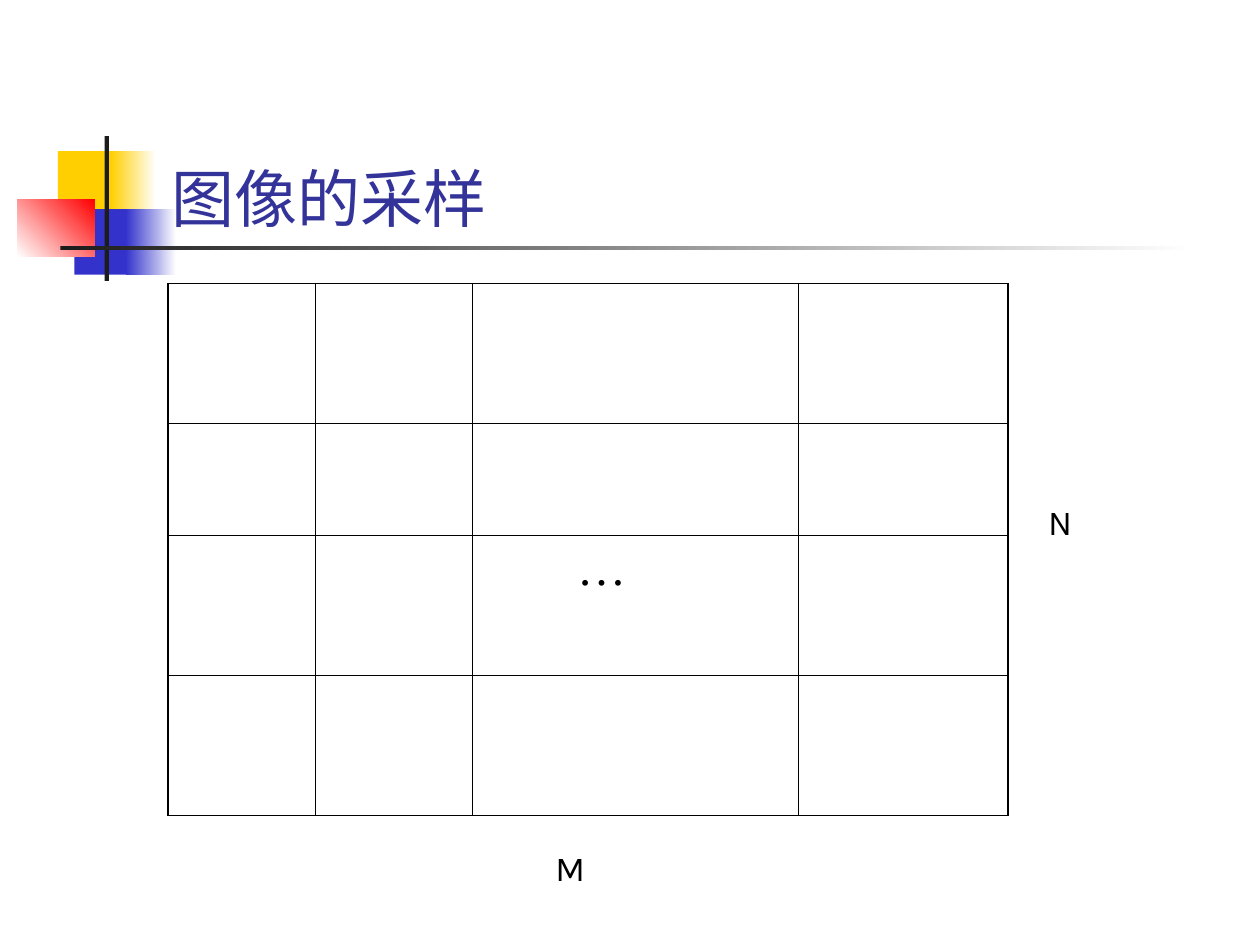
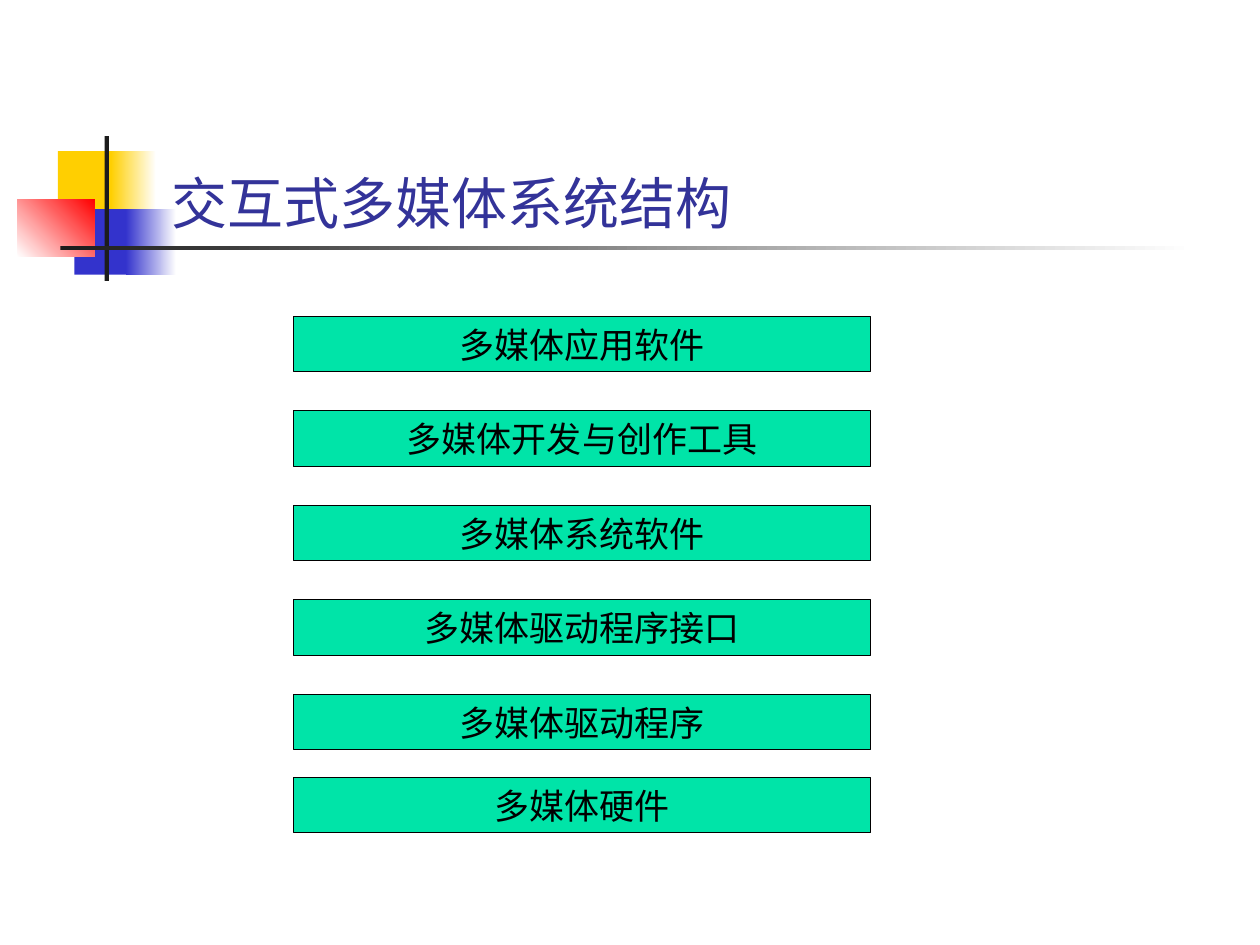
from lxml.etree import SubElement
from pptx import Presentation
from pptx.dml.color import RGBColor
from pptx.enum.shapes import MSO_SHAPE
from pptx.enum.text import MSO_ANCHOR, MSO_AUTO_SIZE, PP_ALIGN
from pptx.oxml.ns import qn
from pptx.util import Inches, Pt

COLORS = {
    "yellow": "FFCF01", "blue": "3333CC", "red": "FF0000", "dark": "1C1C1C",
    "white": "FFFFFF", "title": "333399", "black": "000000", "layer": "00E4A8",
}
LATIN_FONT, CJK_FONT, DOTS_FONT = "Karla", "Noto Sans CJK SC", "Times New Roman"

presentation = Presentation()
presentation.slide_width = Inches(10)
presentation.slide_height = Inches(7.5)


def area(left, top, width, height):
    """Turn percentages of the slide's size into lengths."""
    across = presentation.slide_width / 100
    down = presentation.slide_height / 100
    return [round(length) for length in
            (left * across, top * down, width * across, height * down)]


def write(text_frame, text, size, color="black", latin=LATIN_FONT,
          east_asian=CJK_FONT, alignment=PP_ALIGN.LEFT):
    paragraph = text_frame.paragraphs[0]
    paragraph.alignment = alignment
    run = paragraph.add_run()
    run.text = text
    font_format = {"size": Pt(size), "name": latin}
    for attribute, value in font_format.items():
        setattr(run.font, attribute, value)
    run.font.color.rgb = RGBColor.from_string(COLORS[color])
    SubElement(run.font._element, qn("a:ea"), typeface=east_asian)


# Slides and their titles
title_layout = presentation.slide_layouts.get_by_name("Title Only")
titles = [
    ("图像的采样", 36, (12.6, 8.93, 43.7, 16.67)),
    ("交互式多媒体系统结构", 32, (12.6, 14.4, 78.2, 11.2)),
]
title_format = {"vertical_anchor": MSO_ANCHOR.BOTTOM, "word_wrap": True,
                "auto_size": MSO_AUTO_SIZE.NONE}
for text, size, place in titles:
    slide = presentation.slides.add_slide(title_layout)
    title = slide.shapes.title
    title.left, title.top, title.width, title.height = area(*place)
    for attribute, value in title_format.items():
        setattr(title.text_frame, attribute, value)
    write(title.text_frame, text, size, "title")
sampling_slide, structure_slide = presentation.slides

# Shared decoration, moved to the layout: place, start colour, end colour, angle
decoration = [
    ((4.6, 16, 4.8, 6.93), "yellow", None, 0),
    ((8.8, 16, 3.6, 6.93), "yellow", "white", 0),
    ((5.9, 22.13, 4.6, 6.93), "blue", None, 0),
    ((10, 22.13, 4, 6.93), "blue", "white", 0),
    ((1.4, 21.07, 6.1, 6.13), "white", "red", 45),
    ((8.3, 14.4, 0.35, 15.33), "dark", None, 0),
    ((4.8, 26, 90, 0.45), "dark", "white", 0),
]
for number, (place, start, end, angle) in enumerate(decoration, 20):
    shape = sampling_slide.shapes.add_shape(MSO_SHAPE.RECTANGLE, *area(*place))
    shape.shadow.inherit = False
    shape.line.fill.background()
    if end:
        shape.fill.gradient()
        shape.fill.gradient_angle = angle
        for stop, color in zip(shape.fill.gradient_stops, (start, end)):
            stop.color.rgb = RGBColor.from_string(COLORS[color])
    else:
        shape.fill.solid()
        shape.fill.fore_color.rgb = RGBColor.from_string(COLORS[start])
    shape._element.nvSpPr.cNvPr.set("id", str(number))
    title_layout.shapes._spTree.append(shape._element)

# Sampling grid
column_units, row_units = (14, 15, 31, 20), (5, 4, 5, 5)
column_count, row_count = len(column_units), len(row_units)
grid_frame = sampling_slide.shapes.add_table(
    row_count, column_count, *area(13.33, 30, 66.67, 56.3))
grid = grid_frame.table
grid.first_row = grid.horz_banding = False
grid_width, grid_height = grid_frame.width, grid_frame.height
for column, units in zip(grid.columns, column_units):
    column.width = round(grid_width * units / sum(column_units))
for row, units in zip(grid.rows, row_units):
    row.height = round(grid_height * units / sum(row_units))

for row_index in range(row_count):
    for column_index in range(column_count):
        cell = grid.cell(row_index, column_index)
        outer_edges = {
            "L": column_index == 0, "R": column_index == column_count - 1,
            "T": row_index == 0, "B": row_index == row_count - 1,
        }
        for side, is_outer in outer_edges.items():
            border = SubElement(cell._tc.get_or_add_tcPr(), qn(f"a:ln{side}"),
                                w=str(Pt(1.08 if is_outer else 0.45)))
            border_fill = SubElement(border, qn("a:solidFill"))
            SubElement(border_fill, qn("a:srgbClr"), val=COLORS["black"])
        cell.fill.background()

dots_cell = grid.cell(2, 2)
dots_cell.margin_left = Inches(0.83)
write(dots_cell.text_frame, "…", 28, latin=DOTS_FONT, east_asian=DOTS_FONT)

for text, place in [("N", (82.2, 52.27, 4.1, 5.87)),
                    ("M", (43.1, 88.93, 4.5, 5.87))]:
    label = sampling_slide.shapes.add_textbox(*area(*place))
    label.text_frame.word_wrap = False
    write(label.text_frame, text, 20)

# Layers of the multimedia system, from top to bottom
layers = ["多媒体应用软件", "多媒体开发与创作工具", "多媒体系统软件",
          "多媒体驱动程序接口", "多媒体驱动程序", "多媒体硬件"]
layer_tops = [33.47 + 10 * index for index in range(5)] + [82.27]
for text, top in zip(layers, layer_tops):
    layer = structure_slide.shapes.add_shape(
        MSO_SHAPE.RECTANGLE, *area(23.3, top, 45.8, 5.87))
    layer.shadow.inherit = False
    layer.fill.solid()
    layer.fill.fore_color.rgb = RGBColor.from_string(COLORS["layer"])
    layer.line.color.rgb = RGBColor.from_string(COLORS["black"])
    layer.line.width = Pt(0.75)
    layer.text_frame.vertical_anchor = MSO_ANCHOR.MIDDLE
    write(layer.text_frame, text, 20, alignment=PP_ALIGN.CENTER)

presentation.save("out.pptx")
